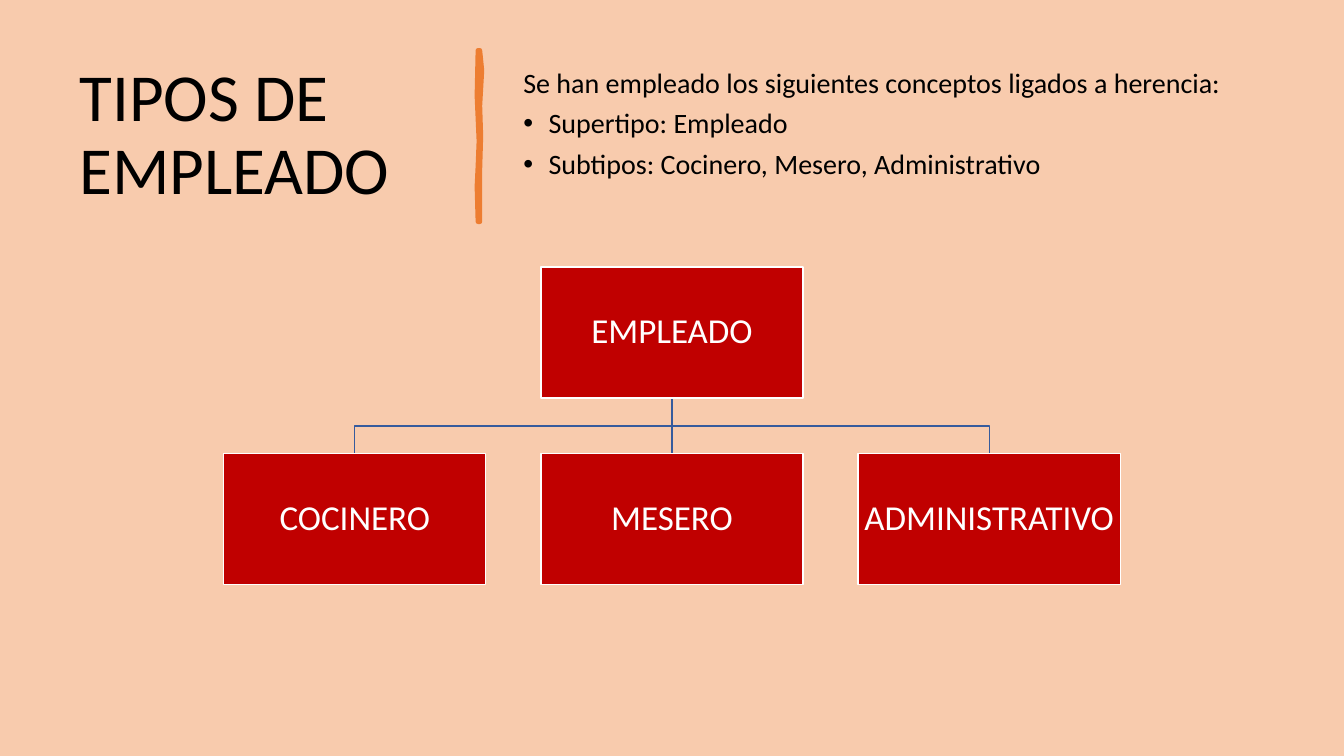
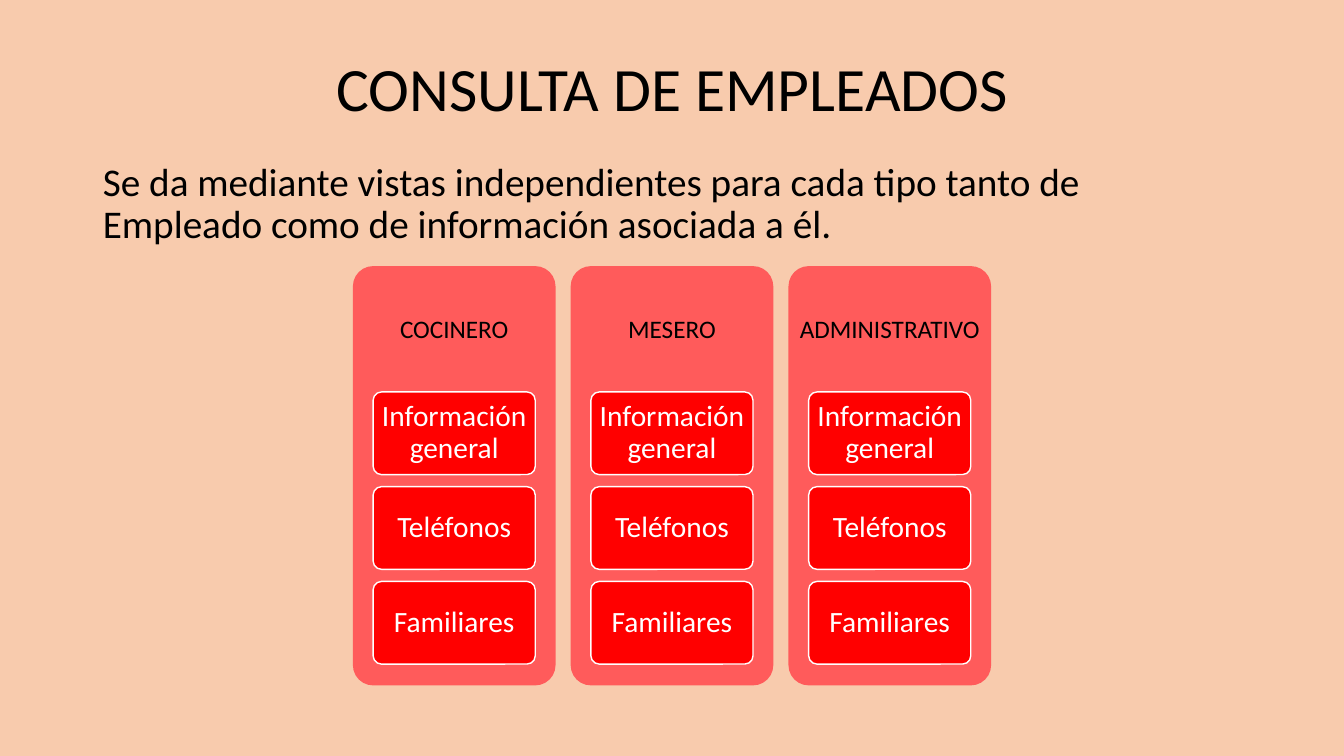
from lxml.etree import SubElement
from pptx import Presentation
from pptx.dml.color import RGBColor
from pptx.enum.shapes import MSO_CONNECTOR, MSO_SHAPE
from pptx.enum.text import MSO_ANCHOR, MSO_AUTO_SIZE, PP_ALIGN
from pptx.oxml.ns import qn
from pptx.util import Inches, Pt

WIDTH, HEIGHT = 13.33, 7.5
FONT = "Calibri"
BACKGROUND, BLACK, WHITE = "F8CBAD", "000000", "FFFFFF"
ORANGE, BLUE = "ED7D31", "365B9D"
DARK_RED, RED, LIGHT_RED = "C00000", "FF0000", "FF5B5B"
ROLES = ["COCINERO", "MESERO", "ADMINISTRATIVO"]
VIEWS = ["Información general", "Teléfonos", "Familiares"]


def rgb(color):
    return RGBColor.from_string(color)


def write(shape, lines, size, color=BLACK, align=PP_ALIGN.LEFT,
          anchor=MSO_ANCHOR.MIDDLE, spacing=0.9):
    """Fill a shape with paragraphs; a line starting with • becomes a list item."""
    frame = shape.text_frame
    frame.word_wrap = True
    frame.auto_size = MSO_AUTO_SIZE.NONE
    frame.vertical_anchor = anchor
    frame.text = "\n".join(line.lstrip("•") for line in lines)
    for number, (line, paragraph) in enumerate(zip(lines, frame.paragraphs)):
        properties = paragraph._p.get_or_add_pPr()
        indent = Inches(0.25) if line.startswith("•") else 0
        properties.set("marL", str(indent))
        properties.set("indent", str(-indent))
        if indent:
            SubElement(properties, qn("a:buChar")).set("char", "•")
        else:
            SubElement(properties, qn("a:buNone"))
        paragraph.alignment = align
        paragraph.line_spacing = spacing
        paragraph.space_before = Pt(10 if number else 0)
        for run in paragraph.runs:
            run.font.name = FONT
            run.font.size = Pt(size)
            run.font.color.rgb = rgb(color)


presentation = Presentation()
presentation.slide_width, presentation.slide_height = Inches(WIDTH), Inches(HEIGHT)
master_fill = presentation.slide_master.background.fill
master_fill.solid()
master_fill.fore_color.rgb = rgb(BACKGROUND)
layout = presentation.slide_layouts[1]
types_slide = presentation.slides.add_slide(layout)
query_slide = presentation.slides.add_slide(layout)

# Titles and body text
for placeholder, (left, top, width, height) in [
    (types_slide.shapes.title, (0.69, 0.55, 3.74, 1.6)),
    (types_slide.placeholders[1], (5.09, 0.55, 7.54, 1.6)),
    (query_slide.shapes.title, (0.92, 0.4, 11.5, 1.02)),
    (query_slide.placeholders[1], (0.92, 1.56, 11.5, 5.2)),
]:
    placeholder.left, placeholder.top = Inches(left), Inches(top)
    placeholder.width, placeholder.height = Inches(width), Inches(height)

write(types_slide.shapes.title, ["TIPOS DE EMPLEADO"], 48)
types_body = types_slide.placeholders[1]
types_body.text_frame.margin_top = Inches(0.16)
write(types_body, [
    "Se han empleado los siguientes conceptos ligados a herencia:",
    "•Supertipo: Empleado",
    "•Subtipos: Cocinero, Mesero, Administrativo",
], 20, anchor=MSO_ANCHOR.TOP, spacing=0.8)
write(query_slide.shapes.title, ["CONSULTA DE EMPLEADOS"], 44, align=PP_ALIGN.CENTER)
write(query_slide.placeholders[1], [
    "Se da mediante vistas independientes para cada tipo tanto de "
    "Empleado como de información asociada a él.",
], 28, anchor=MSO_ANCHOR.TOP)

# Hand-drawn divider, in hundredths of an inch
right_edge = [(476, 50), (478, 70), (476, 105), (477, 135), (476, 168), (476, 220)]
left_edge = [(474, 220), (473, 185), (474, 165), (475, 140), (473, 95), (474, 50)]
outline = right_edge + left_edge
builder = types_slide.shapes.build_freeform(*outline[0], scale=Inches(0.01))
builder.add_line_segments(outline[1:], close=True)
divider = builder.convert_to_shape()
divider.shadow.inherit = False
divider.fill.solid()
divider.fill.fore_color.rgb = rgb(ORANGE)
divider.line.color.rgb = rgb(ORANGE)
divider.line.width = Pt(3.25)

# Hierarchy grid: the parent above the middle of three columns
box_width, box_height, row_gap = 2.6, 1.3, 0.55
column_gap = 0.21 * box_width
parent_top = 2.65
parent_bottom = parent_top + box_height
child_top = parent_bottom + row_gap
hierarchy_left = (WIDTH - 3 * box_width - 2 * column_gap) / 2
box_lefts = [hierarchy_left + column * (box_width + column_gap) for column in range(3)]
first, middle, last = [left + box_width / 2 for left in box_lefts]
branch_top = parent_bottom + row_gap / 2

trunk = types_slide.shapes.add_connector(
    MSO_CONNECTOR.STRAIGHT, Inches(middle), Inches(parent_bottom),
    Inches(middle), Inches(child_top))
SubElement(trunk._element.spPr, qn("a:effectLst"))
branches = [trunk]
for child in (last, first):
    builder = types_slide.shapes.build_freeform(Inches(middle), Inches(parent_bottom))
    builder.add_line_segments(
        [(Inches(x), Inches(y)) for x, y in
         [(middle, branch_top), (child, branch_top), (child, child_top)]], close=False)
    branch = builder.convert_to_shape()
    branch.shadow.inherit = False
    branch.fill.background()
    branches.append(branch)
for branch in branches:
    branch.line.color.rgb = rgb(BLUE)
    branch.line.width = Pt(1)

# Boxes: slide, text, position, fill, line, size, text colour, rounded, bottom margin
box_style = (DARK_RED, WHITE, 25, WHITE, False, 0.02)
boxes = [(types_slide, "EMPLEADO", (box_lefts[1], parent_top, box_width, box_height), *box_style)]
for role, left in zip(ROLES, box_lefts):
    boxes.append((types_slide, role, (left, child_top, box_width, box_height), *box_style))

panel_top, panel_width, panel_height, panel_gap = 2.64, 2.01, 4.16, 0.15
panels_left = (WIDTH - 3 * panel_width - 2 * panel_gap) / 2
view_width, view_height, view_pitch = 0.8 * panel_width, 0.82, 0.94
for column, role in enumerate(ROLES):
    left = panels_left + column * (panel_width + panel_gap)
    boxes.append((query_slide, role, (left, panel_top, panel_width, panel_height),
                  LIGHT_RED, None, 18, BLACK, True, 0.7 * panel_height))
    for row, view in enumerate(VIEWS):
        top = panel_top + 0.3 * panel_height + row * view_pitch
        boxes.append((query_slide, view, (left + 0.1 * panel_width, top, view_width, view_height),
                      RED, WHITE, 21, WHITE, True, 0.02))

for slide, text, position, fill, line, size, color, rounded, bottom in boxes:
    kind = MSO_SHAPE.ROUNDED_RECTANGLE if rounded else MSO_SHAPE.RECTANGLE
    shape = slide.shapes.add_shape(kind, *[Inches(length) for length in position])
    shape.shadow.inherit = False
    if rounded:
        shape.adjustments[0] = 0.1
    shape.fill.solid()
    shape.fill.fore_color.rgb = rgb(fill)
    if line:
        shape.line.color.rgb = rgb(line)
        shape.line.width = Pt(1)
    else:
        shape.line.fill.background()
    frame = shape.text_frame
    frame.margin_left = frame.margin_right = frame.margin_top = Inches(0.02)
    frame.margin_bottom = Inches(bottom)
    write(shape, [text], size, color, PP_ALIGN.CENTER)

presentation.save("out.pptx")
